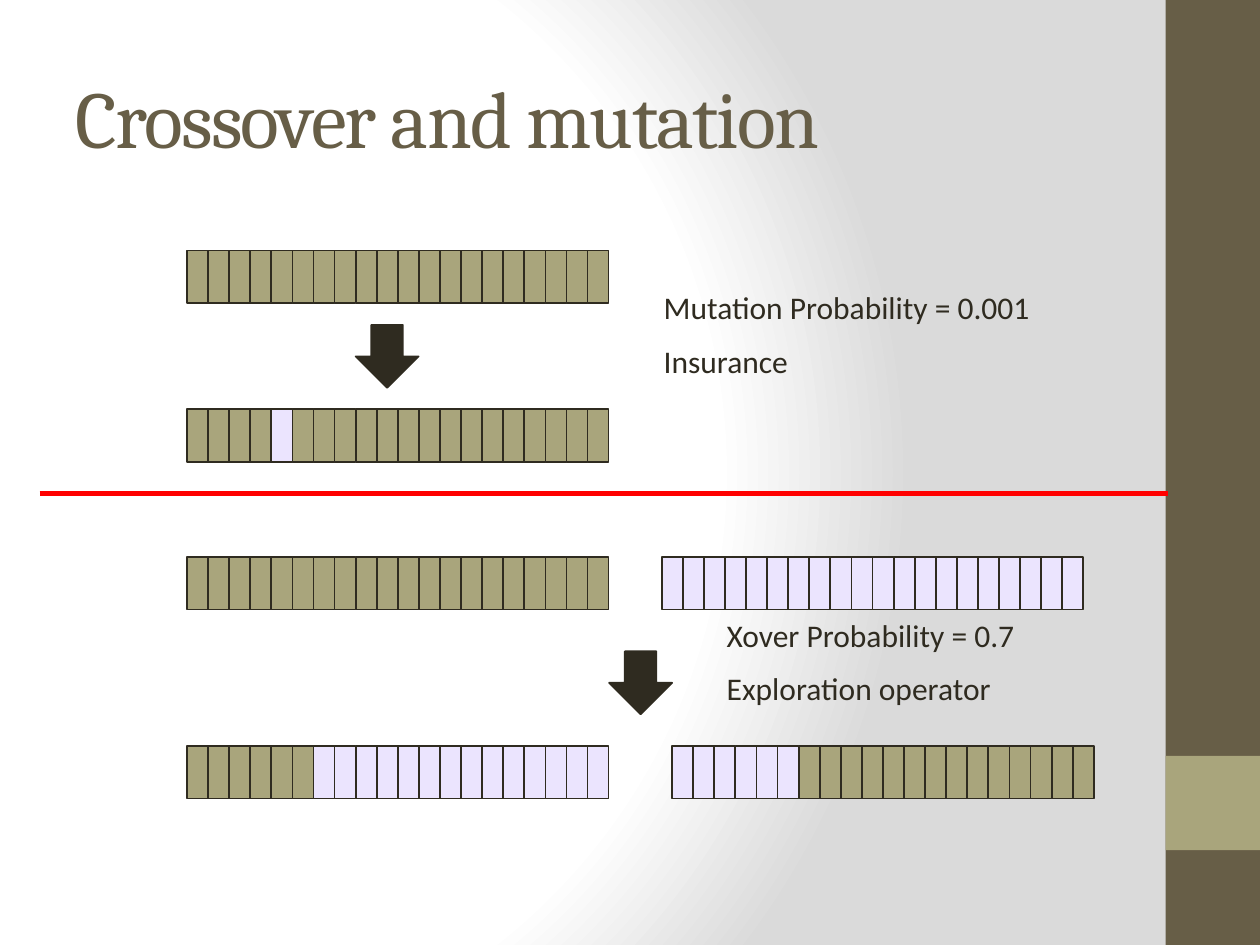
from lxml import etree
from pptx import Presentation
from pptx.dml.color import RGBColor
from pptx.enum.shapes import MSO_CONNECTOR, MSO_SHAPE
from pptx.enum.text import MSO_ANCHOR, PP_ALIGN
from pptx.oxml import parse_xml
from pptx.oxml.ns import qn
from pptx.util import Cm, Pt

RECT = MSO_SHAPE.RECTANGLE
ARROW = MSO_SHAPE.DOWN_ARROW
LINE = MSO_CONNECTOR.STRAIGHT
MIDDLE = MSO_ANCHOR.MIDDLE
LEFT = PP_ALIGN.LEFT

BROWN = RGBColor(0x67, 0x5E, 0x47)
OLIVE = RGBColor(0xA9, 0xA5, 0x7C)
LILAC = RGBColor(0xEB, 0xE4, 0xFE)
DARK = RGBColor(0x2F, 0x2B, 0x20)
RED = RGBColor(0xFF, 0x00, 0x00)

GENES = 20
STEP = 0.425
HIGH = 1.06


def block(kind, x, y, w, h, fill, line=None):
    """Draw a filled shape, with a thin outline if a line colour is given."""
    shape = slide.shapes.add_shape(kind, Cm(x), Cm(y), Cm(w), Cm(h))
    shape.shadow.inherit = False
    shape.fill.solid()
    shape.fill.fore_color.rgb = fill
    if line is None:
        shape.line.fill.background()
    else:
        shape.line.color.rgb = line
        shape.line.width = Pt(1)


def style(par, font, size, color):
    """Set the font, size and colour of every run in a paragraph."""
    for run in par.runs:
        run.font.name = font
        run.font.size = Pt(size)
        run.font.color.rgb = color


deck = Presentation()
deck.slide_width = Cm(25.4)
deck.slide_height = Cm(19.05)
slide = deck.slides.add_slide(deck.slide_layouts[5])

# Background: white glow fading to grey on the right
slide.background.fill.gradient()
grad = slide._element.find(".//" + qn("a:gradFill"))
grad.getparent().replace(grad, parse_xml(
    '<a:gradFill xmlns:a="http://schemas.openxmlformats.org/drawingml/2006/main"'
    ' rotWithShape="1"><a:gsLst>'
    '<a:gs pos="0"><a:srgbClr val="FFFFFF"/></a:gs>'
    '<a:gs pos="75000"><a:srgbClr val="FFFFFF"/></a:gs>'
    '<a:gs pos="100000"><a:srgbClr val="DADADA"/></a:gs></a:gsLst>'
    '<a:path path="circle">'
    '<a:fillToRect l="20000" t="50000" r="100000" b="50000"/>'
    '</a:path></a:gradFill>'))

# Side band
block(RECT, 23.5, 0, 1.9, 19.05, BROWN)
block(RECT, 23.5, 15.24, 1.9, 1.9, OLIVE)

# Title
title = slide.shapes.title
title.left, title.top = Cm(1.27), Cm(0.76)
title.width, title.height = Cm(21.16), Cm(3.18)
frame = title.text_frame
frame.text = "Crossover and mutation"
frame.vertical_anchor = MIDDLE
par = frame.paragraphs[0]
par.alignment = LEFT
style(par, "Cambria", 46, BROWN)
par.runs[0].font._element.set("spc", "-100")

# Chromosomes: left, top, base colour, swapped colour, swapped genes
rows = [
    (3.77, 5.05, OLIVE, LILAC, range(0)),
    (3.77, 8.25, OLIVE, LILAC, range(4, 5)),
    (3.77, 11.23, OLIVE, LILAC, range(0)),
    (13.34, 11.23, LILAC, OLIVE, range(0)),
    (3.77, 15.04, OLIVE, LILAC, range(6, GENES)),
    (13.55, 15.04, LILAC, OLIVE, range(6, GENES)),
]
for x, y, base, swap, spots in rows:
    for gene in range(GENES):
        fill = swap if gene in spots else base
        block(RECT, x + gene * STEP, y, STEP, HIGH, fill, DARK)

# Arrows
for x, y in [(7.17, 6.55), (12.28, 13.13)]:
    block(ARROW, x, y, 1.27, 1.27, DARK, DARK)

# Divider
rule = slide.shapes.add_connector(LINE, Cm(0.8), Cm(9.95), Cm(23.54), Cm(9.95))
rule.line.color.rgb = RED
rule.line.width = Pt(3)
etree.SubElement(rule._element.spPr, qn("a:effectLst"))

# Notes beside the operators
notes = [
    (13.13, 5.69, ["Mutation Probability = 0.001", "Insurance"]),
    (14.4, 12.29, ["Xover Probability = 0.7", "Exploration operator"]),
]
for x, y, lines in notes:
    box = slide.shapes.add_textbox(Cm(x), Cm(y), Cm(10.62), Cm(2.18))
    frame = box.text_frame
    frame.word_wrap = True
    frame.text = "\n".join(lines)
    for par in frame.paragraphs:
        par.space_before = Pt(9)
        style(par, "Calibri", 18, DARK)
    frame.paragraphs[0].space_before = Pt(0)

deck.save("out.pptx")
